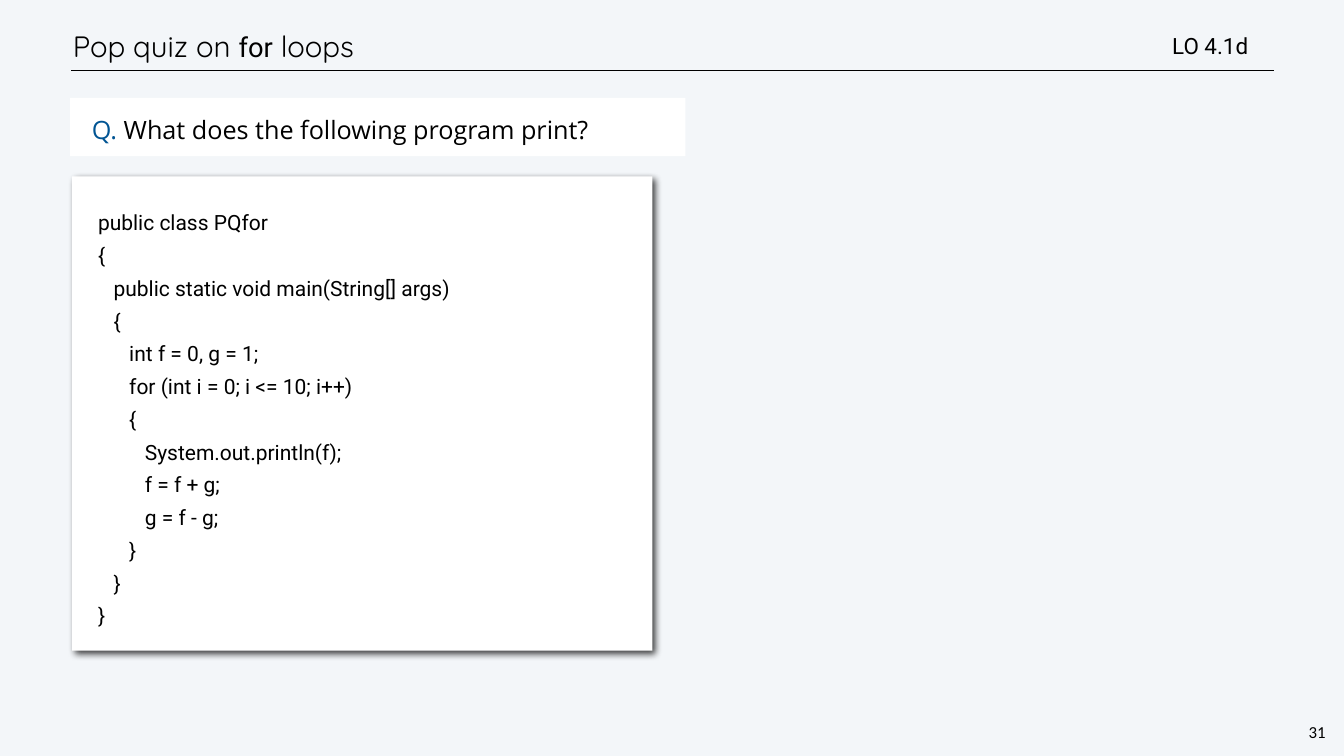
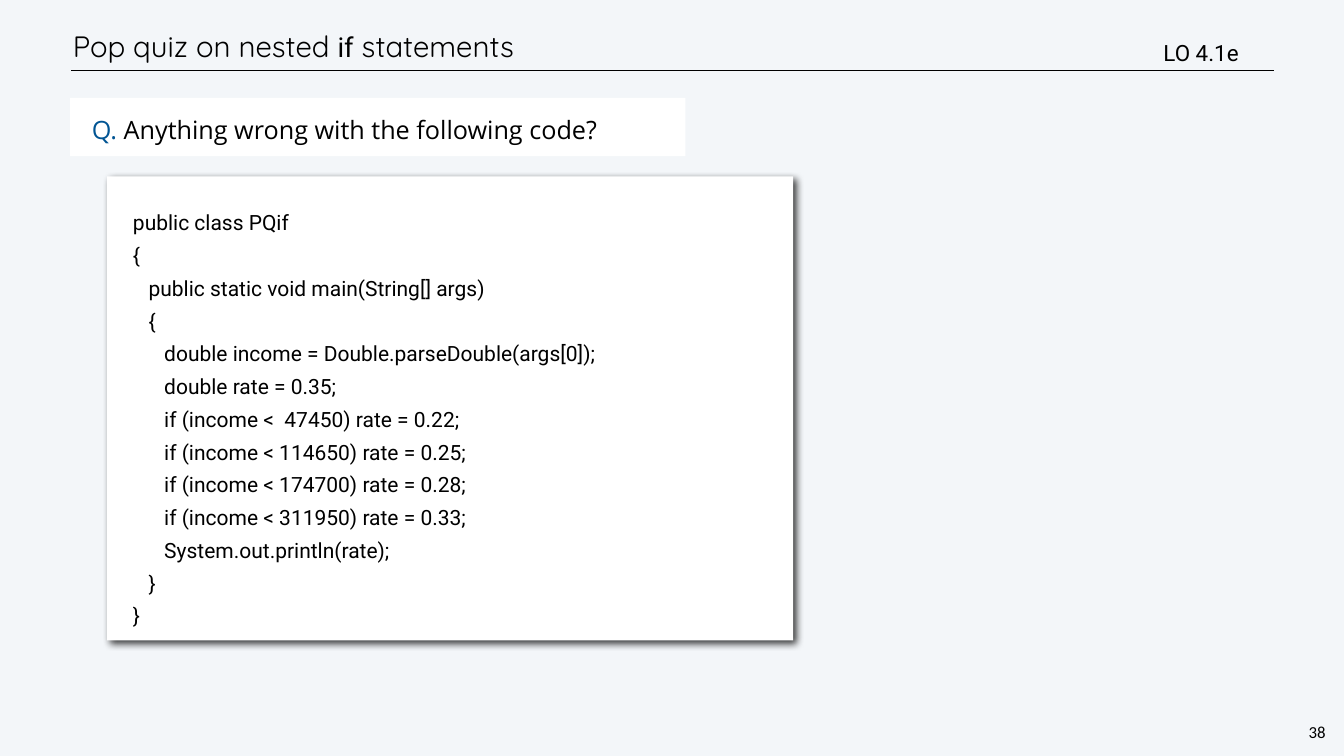
from lxml.etree import SubElement
from pptx import Presentation
from pptx.dml.color import RGBColor
from pptx.enum.shapes import MSO_CONNECTOR, MSO_SHAPE
from pptx.enum.text import MSO_ANCHOR, PP_ALIGN
from pptx.oxml.ns import qn
from pptx.util import Pt

BLACK, WHITE, BLUE, PALE = "000000", "FFFFFF", "005493", "F3F6F9"
HEAD, BODY, CODE, FOOT = "Quicksand", "Open Sans", "Roboto", "Calibri"

LOOP = """public class PQfor
{
   public static void main(String[] args)
   {
      int f = 0, g = 1;
      for (int i = 0; i <= 10; i++)
      {
         System.out.println(f);
         f = f + g;
         g = f - g;
      }
   }
}"""

NEST = """public class PQif
{
   public static void main(String[] args)
   {
      double income = Double.parseDouble(args[0]);
      double rate = 0.35;
      if (income <  47450) rate = 0.22;
      if (income < 114650) rate = 0.25;
      if (income < 174700) rate = 0.28;
      if (income < 311950) rate = 0.33;
      System.out.println(rate);
   }
}"""


def color(code):
    return RGBColor.from_string(code)


def style(font, name, size, ink=BLACK):
    font.name = name
    font.size = Pt(size)
    font.color.rgb = color(ink)


def frame(shape, inset, anchor=MSO_ANCHOR.TOP, wrap=True):
    text = shape.text_frame
    text.word_wrap = wrap
    text.vertical_anchor = anchor
    text.margin_left = text.margin_right = Pt(inset)
    text.margin_top = text.margin_bottom = Pt(inset)
    return text


def label(slide, box, inset, anchor=MSO_ANCHOR.MIDDLE, wrap=True):
    shape = slide.shapes.add_textbox(*map(Pt, box))
    return frame(shape, inset, anchor, wrap)


def panel(slide, box):
    shape = slide.shapes.add_shape(MSO_SHAPE.RECTANGLE, *map(Pt, box))
    shape.shadow.inherit = False
    shape.fill.solid()
    shape.fill.fore_color.rgb = color(WHITE)
    shape.line.fill.background()
    return shape


def shade(shape):
    effects = shape.element.spPr.find(qn("a:effectLst"))
    shadow = SubElement(effects, qn("a:outerShdw"), blurRad=str(Pt(10)),
                        dist=str(Pt(6)), dir="2700000", algn="tl", rotWithShape="0")
    ink = SubElement(shadow, qn("a:srgbClr"), val=BLACK)
    SubElement(ink, qn("a:alpha"), val="75000")


def title(slide, box, parts):
    para = label(slide, box, 4).paragraphs[0]
    para.line_spacing = Pt(50)
    fonts = (HEAD, 42), (CODE, 39), (HEAD, 42)
    for part, (name, size) in zip(parts, fonts):
        run = para.add_run()
        run.text = part
        style(run.font, name, size)


def rule(slide, left, right, top):
    line = slide.shapes.add_connector(MSO_CONNECTOR.STRAIGHT, *map(Pt, (left, top, right, top)))
    line.line.color.rgb = color(BLACK)
    line.line.width = Pt(1)
    SubElement(line.element.spPr, qn("a:effectLst"))


def query(slide, box, words):
    para = frame(panel(slide, box), 24).paragraphs[0]
    para.alignment = PP_ALIGN.LEFT
    para.line_spacing = Pt(43)
    para._p.get_or_add_pPr().set("indent", str(Pt(7.2)))
    for part, ink in (("Q. ", BLUE), (words, BLACK)):
        run = para.add_run()
        run.text = part
        style(run.font, BODY, 36, ink)


def listing(slide, box, code):
    shape = panel(slide, box)
    shade(shape)
    text = frame(shape, 37)
    text.text = code
    for para in text.paragraphs:
        para.alignment = PP_ALIGN.LEFT
        para.line_spacing = 1.3
        style(para.font, CODE, 30)


def goal(slide, box, words):
    para = label(slide, box, 4).paragraphs[0]
    para.text = words
    style(para.font, CODE, 32)


def number(slide, box, count):
    para = label(slide, box, 3, MSO_ANCHOR.TOP, False).paragraphs[0]
    para.text = str(count)
    para.alignment = PP_ALIGN.CENTER
    para.line_spacing = Pt(28)
    style(para.font, FOOT, 24)


def quiz(deck, parts, ask, code, box, aim, spot, count):
    slide = deck.slides.add_slide(deck.slide_layouts[6])
    rule(slide, 102, 1819.5, 101)
    title(slide, (100, 30, 1629, 71), parts)
    query(slide, (100, 140, 879, 83), ask)
    number(slide, (1866, 1029, 31, 34), count)
    listing(slide, box, code)
    goal(slide, (*spot, 215, 47), aim)


def main():
    deck = Presentation()
    deck.slide_width, deck.slide_height = Pt(1920), Pt(1080)
    back = deck.slide_master.background.fill
    back.solid()
    back.fore_color.rgb = color(PALE)
    quiz(deck, ("Pop quiz on ", "for", " loops"),
         "What does the following program print?",
         LOOP, (103, 252, 829, 677.5), "LO 4.1d", (1670.5, 42), 31)
    quiz(deck, ("Pop quiz on nested ", "if", " statements"),
         "Anything wrong with the following code?",
         NEST, (153, 252, 980, 663), "LO 4.1e", (1658, 52), 38)
    deck.save("out.pptx")


if __name__ == "__main__":
    main()
